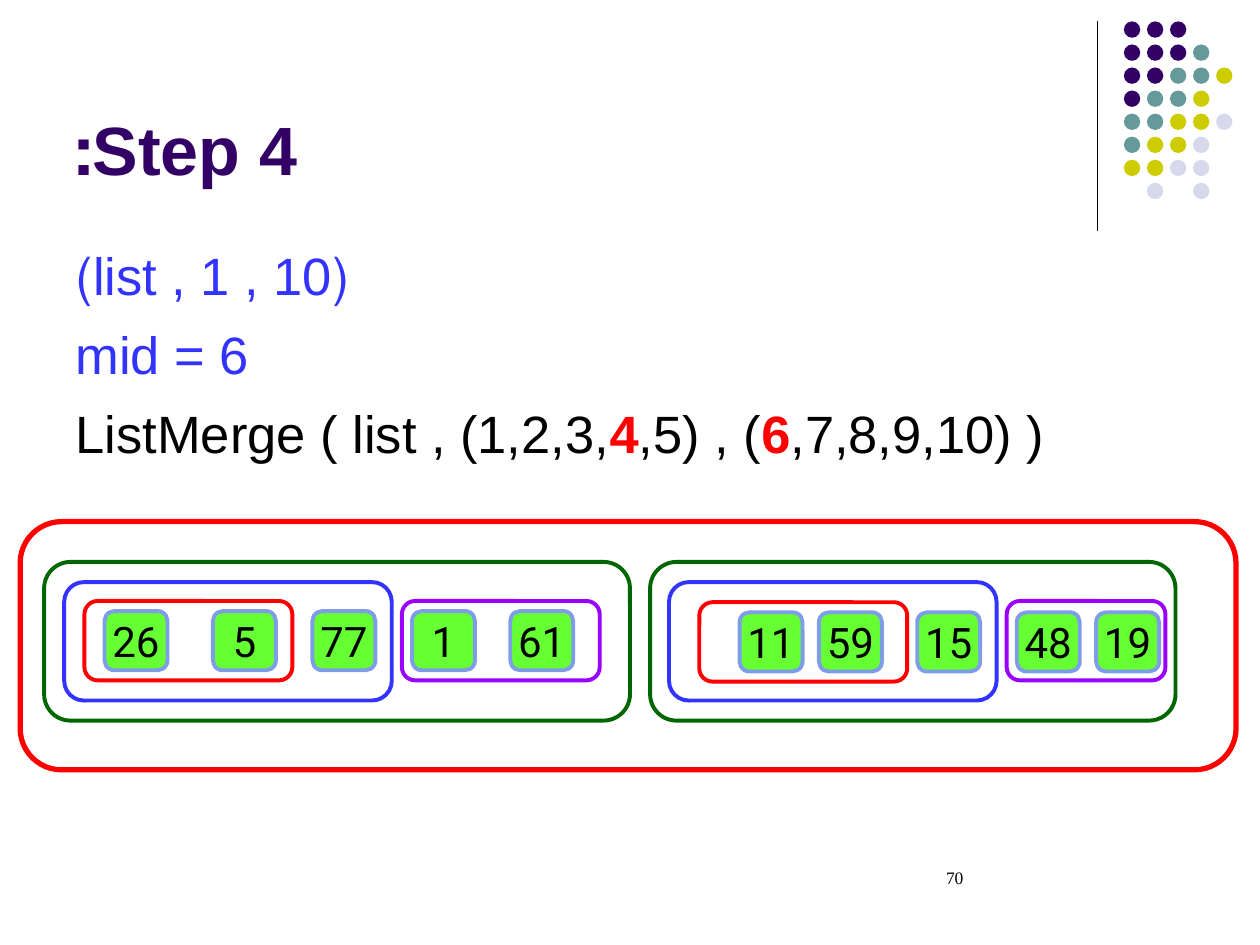
import pptx
import pptx.util
import pptx.dml.color
import pptx.enum.shapes
import pptx.enum.text
import pptx.oxml.ns
from lxml import etree

Inches, Pt = pptx.util.Inches, pptx.util.Pt
SHAPE = pptx.enum.shapes.MSO_SHAPE
ALIGN = pptx.enum.text.PP_ALIGN
ANCHOR = pptx.enum.text.MSO_ANCHOR
qn = pptx.oxml.ns.qn


def set_font(font, color, **values):
    for name, value in values.items():
        setattr(font, name, value)
    font.color.rgb = pptx.dml.color.RGBColor.from_string(color)


def add_shape(shapes, kind, box, fill=None, line=None, width=2.25):
    s = shapes.add_shape(kind, *[Inches(v) for v in box])
    s.shadow.inherit = False
    if fill:
        s.fill.solid()
        s.fill.fore_color.rgb = pptx.dml.color.RGBColor.from_string(fill)
    else:
        s.fill.background()
    if line:
        s.line.color.rgb = pptx.dml.color.RGBColor.from_string(line)
        s.line.width = Pt(width)
    else:
        s.line.fill.background()
    return s


prs = pptx.Presentation()
prs.slide_width, prs.slide_height = Inches(10), Inches(7.5)
slide = prs.slides.add_slide(prs.slide_layouts[1])
title, body = slide.placeholders

# Corner decoration: vertical rule and dot grid
rule = slide.shapes.add_connector(
    pptx.enum.shapes.MSO_CONNECTOR.STRAIGHT,
    Inches(8.71), Inches(0.17), Inches(8.71), Inches(1.83))
set_font(rule.line, "000000", width=Pt(0.75))
etree.SubElement(rule.element.spPr, qn("a:effectLst"))

dot_colors = {"P": "330066", "T": "669999", "Y": "CCCC00", "L": "D8D8EC"}
dot_rows = ["PPP", "PPPT", "PPTTY", "PTTY", "TTYYL", "TYYL", "YYLL", " L L"]
dots = slide.shapes.add_group_shape()
for row, codes in enumerate(dot_rows):
    for col, code in enumerate(codes):
        if code in dot_colors:
            box = (8.92 + col * 0.183, 0.17 + row * 0.183, 0.13, 0.13)
            add_shape(dots.shapes, SHAPE.OVAL, box, dot_colors[code])

# Title and body, both right-to-left text set at the left edge
PURPLE, BLUE, BLACK, RED = "330066", "3333FF", "000000", "FF0000"
texts = [
    (title, (0.5, 0.13, 8.25, 1.42), ANCHOR.BOTTOM, 39,
     [[("Step 4:", PURPLE, True)]]),
    (body, (0.5, 1.88, 9, 4.82), ANCHOR.TOP, 30,
     [[("(list , 1 , 10)", BLUE, False)],
      [("mid = 6", BLUE, False)],
      [("ListMerge ( list , (1,2,3,", BLACK, False), ("4", RED, True),
       (",5) , (", BLACK, False), ("6", RED, True),
       (",7,8,9,10) )", BLACK, False)]]),
]
for s, box, anchor, size, paragraphs in texts:
    s.left, s.top, s.width, s.height = [Inches(v) for v in box]
    tf = s.text_frame
    tf.auto_size = pptx.enum.text.MSO_AUTO_SIZE.NONE
    tf.word_wrap = True
    tf.vertical_anchor = anchor
    for i, runs in enumerate(paragraphs):
        p = tf.add_paragraph() if i else tf.paragraphs[0]
        p.alignment = ALIGN.LEFT
        p.space_before = Pt(9 if i else 0)
        pPr = p._p.get_or_add_pPr()
        pPr.set("rtl", "1")
        if s is body:
            pPr.set("marL", str(Inches(0.38)))
            pPr.set("indent", str(-Inches(0.38)))
        etree.SubElement(pPr, qn("a:buNone"))
        for text, color, bold in runs:
            r = p.add_run()
            r.text = text
            set_font(r.font, color, size=Pt(size), name="Arial", bold=bold)

# List items
items = [
    (4.85, [("26", 0.83), ("5", 1.69), ("77", 2.48), ("1", 3.27), ("61", 4.05)]),
    (4.86, [("11", 5.87), ("59", 6.5), ("15", 7.28), ("48", 8.07), ("19", 8.7)]),
]
for top, half in items:
    for number, left in half:
        s = add_shape(slide.shapes, SHAPE.ROUNDED_RECTANGLE,
                      (left, top, 0.5, 0.47), "66FF33", "7E9CE8")
        tf = s.text_frame
        tf.word_wrap = False
        tf.vertical_anchor = ANCHOR.MIDDLE
        p = tf.paragraphs[0]
        p.alignment = ALIGN.CENTER
        r = p.add_run()
        r.text = number
        set_font(r.font, BLACK, size=Pt(24), name="Roboto")

# Nested frames around the sublists
frames = [
    ((0.67, 4.77, 1.65, 0.63), RED, 2.25),
    ((0.51, 4.62, 2.6, 0.94), BLUE, 2.25),
    ((3.19, 4.77, 1.57, 0.63), "9900FF", 2.25),
    ((0.35, 4.46, 4.65, 1.26), "006600", 2.25),
    ((5.55, 4.78, 1.65, 0.63), RED, 2.25),
    ((5.31, 4.62, 2.6, 0.94), BLUE, 2.25),
    ((5.16, 4.46, 4.17, 1.26), "006600", 2.25),
    ((0.16, 4.14, 9.65, 1.97), RED, 3),
    ((7.99, 4.77, 1.26, 0.63), "9900FF", 2.25),
]
for box, color, width in frames:
    add_shape(slide.shapes, SHAPE.ROUNDED_RECTANGLE, box, line=color, width=width)

# Slide number
s = slide.shapes.add_textbox(Inches(7.17), Inches(6.83), Inches(2.33), Inches(0.5))
tf = s.text_frame
tf.word_wrap = True
p = tf.paragraphs[0]
p._p.get_or_add_pPr().set("marL", str(Inches(0.24)))
r = p.add_run()
r.text = "70"
set_font(r.font, BLACK, size=Pt(10), name="Times New Roman")

prs.save("out.pptx")
